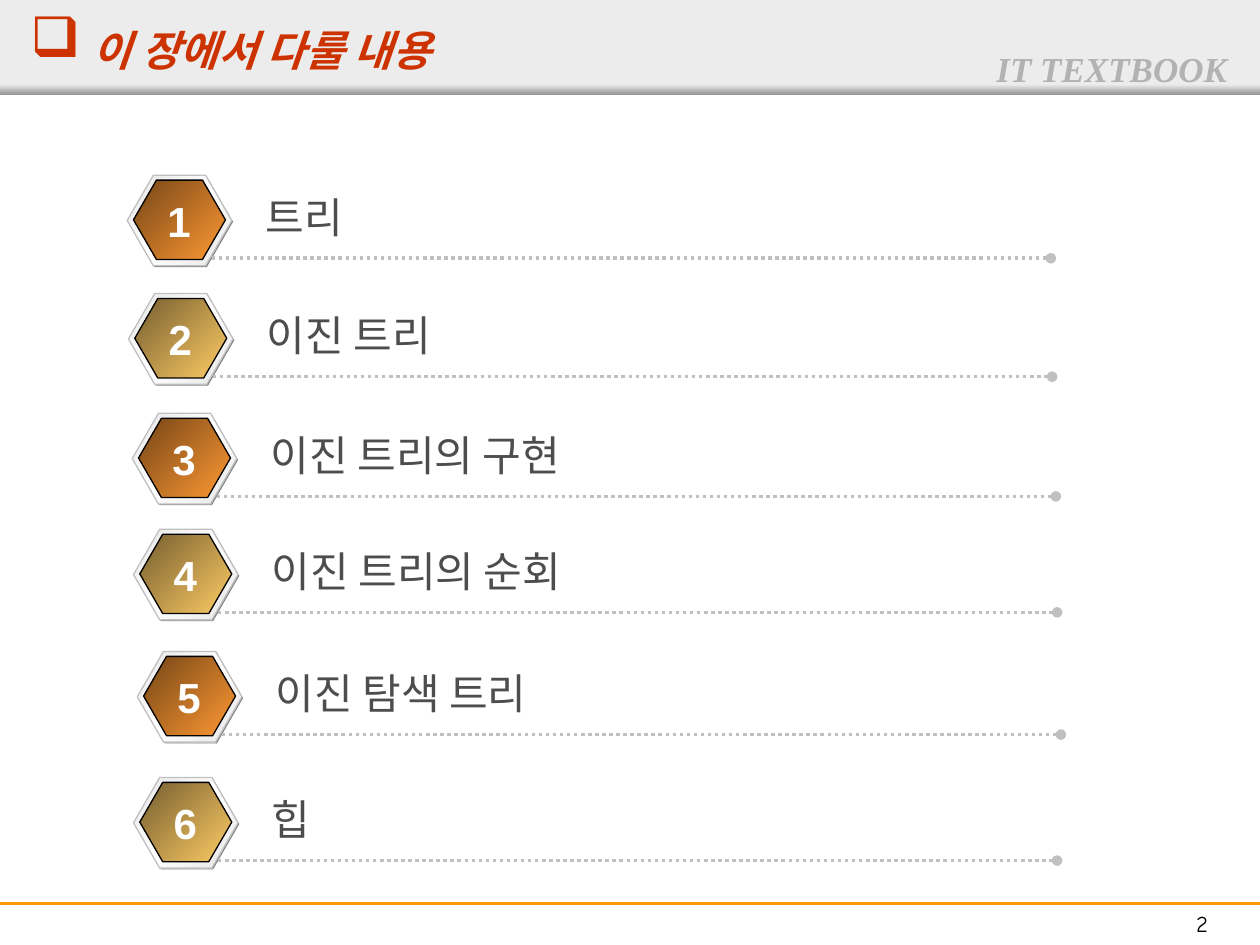
from lxml import etree
from pptx import Presentation
from pptx.dml.color import RGBColor
from pptx.enum.dml import MSO_LINE
from pptx.enum.shapes import MSO_CONNECTOR, MSO_SHAPE
from pptx.enum.text import MSO_ANCHOR, MSO_AUTO_SIZE, PP_ALIGN
from pptx.oxml.ns import qn
from pptx.util import Inches, Pt

RECTANGLE, HEXAGON = MSO_SHAPE.RECTANGLE, MSO_SHAPE.HEXAGON
STRAIGHT = MSO_CONNECTOR.STRAIGHT
DOTTED = MSO_LINE.ROUND_DOT
LEFT, CENTER = PP_ALIGN.LEFT, PP_ALIGN.CENTER
TOP = MSO_ANCHOR.TOP
GROW, FIXED = MSO_AUTO_SIZE.SHAPE_TO_FIT_TEXT, MSO_AUTO_SIZE.NONE

TOPICS = [
    # left, top, topic
    (1.01, 1.39, "트리"),
    (1.02, 2.33, "이진 트리"),
    (1.05, 3.28, "이진 트리의 구현"),
    (1.06, 4.20, "이진 트리의 순회"),
    (1.09, 5.17, "이진 탐색 트리"),
    (1.06, 6.17, "힙"),
]


def color(hex_string):
    return RGBColor.from_string(hex_string)


def add_element(parent, tag, **attributes):
    return etree.SubElement(parent, qn(tag), attributes)


class SlideBuilder:
    BODY_FONT = "Noto Sans CJK KR"
    NUMBER_FONT = "Arial"
    ACCENT = "CC3300"
    SILVER = "C0C0C0"
    RIM = ["E6E6E6", "FFFFFF", "E6E6E6"]
    BADGES = [["FF9933", "754617"], ["FFCC66", "755E2F"]]

    def __init__(self, deck):
        self.slide = deck.slides.add_slide(deck.slide_layouts[5])
        self.shapes = self.slide.shapes

    def shape(self, kind, left, top, width, height, fill, line=None, angle=225):
        """Add a shape; a list as fill makes an evenly spaced gradient."""
        shape = self.shapes.add_shape(
            kind, Inches(left), Inches(top), Inches(width), Inches(height))
        shape.shadow.inherit = False
        if isinstance(fill, list):
            self.gradient(shape.fill, fill, angle)
        else:
            shape.fill.solid()
            shape.fill.fore_color.rgb = color(fill)
        if line:
            shape.line.color.rgb = color(line)
            shape.line.width = Pt(0.75)
        else:
            shape.line.fill.background()
        if kind == HEXAGON:
            shape.adjustments[0] = 0.289
        return shape

    def gradient(self, fill, colors, angle):
        """Fill with a linear gradient; angle runs clockwise."""
        fill.gradient()
        fill.gradient_angle = 360 - angle
        stops = fill.gradient_stops[0]._gs.getparent()
        for stop in list(stops):
            stops.remove(stop)
        for index, value in enumerate(colors):
            position = 100000 * index // (len(colors) - 1)
            stop = add_element(stops, "a:gs", pos=str(position))
            add_element(stop, "a:srgbClr", val=value)

    def line(self, left, right, top, line_color, width, dotted=False):
        """Add a horizontal line; a dotted one ends in a dot."""
        line = self.shapes.add_connector(
            STRAIGHT, Inches(left), Inches(top), Inches(right), Inches(top))
        line.line.color.rgb = color(line_color)
        line.line.width = Pt(width)
        if dotted:
            line.line.dash_style = DOTTED
            add_element(line.line._get_or_add_ln(), "a:tailEnd", type="oval")
        add_element(line._element.spPr, "a:effectLst")

    def span(self, para, text, size, font, text_color, bold=False, italic=False):
        span = para.add_run()
        span.text = text
        span.font.size = Pt(size)
        span.font.name = font
        span.font.bold = bold
        span.font.italic = italic
        span.font.color.rgb = color(text_color)
        latin = span._r.get_or_add_rPr().find(qn("a:latin"))
        east_asian = etree.Element(qn("a:ea"), typeface=font)
        latin.addnext(east_asian)

    def text(self, left, top, width, height, text, size, font, text_color,
             align=LEFT, wrap=True, **style):
        box = self.shapes.add_textbox(
            Inches(left), Inches(top), Inches(width), Inches(height))
        frame = box.text_frame
        frame.word_wrap = wrap
        frame.auto_size = GROW
        para = frame.paragraphs[0]
        para.alignment = align
        self.span(para, text, size, font, text_color, **style)

    def title(self, text):
        title = self.slide.shapes.title
        title.left, title.top = Inches(0.14), Inches(0.14)
        title.width, title.height = Inches(9), Inches(0.46)
        # Bring the title in front of the header band.
        self.slide.shapes._spTree.append(title._element)
        frame = title.text_frame
        frame.margin_top = 0
        frame.vertical_anchor = TOP
        frame.auto_size = FIXED
        para = frame.paragraphs[0]
        para.alignment = LEFT
        para.line_spacing = 0.9
        properties = para._p.get_or_add_pPr()
        bullet_color = add_element(properties, "a:buClr")
        add_element(bullet_color, "a:srgbClr", val=self.ACCENT)
        add_element(properties, "a:buChar", char="❑")
        for words, size in ((" ", 32), (text, 24)):
            self.span(para, words, size, self.BODY_FONT, self.ACCENT,
                      bold=True, italic=True)

    def topic(self, number, left, top, text):
        """Add one grouped row: numbered badge, topic and dotted rule."""
        self.shapes = self.slide.shapes.add_group_shape().shapes
        self.shape(HEXAGON, left + 0.01, top + 0.01, 0.83, 0.72, "808080")
        self.shape(HEXAGON, left, top, 0.83, 0.72, self.RIM, self.SILVER)
        badge = self.BADGES[(number - 1) % len(self.BADGES)]
        self.shape(HEXAGON, left + 0.05, top + 0.04, 0.73, 0.63, badge, "000000")
        self.line(left + 0.67, left + 7.33, top + 0.66, self.SILVER, 2, dotted=True)
        self.text(left + 1, top + 0.08, 6.25, 0.5, text, 24, self.BODY_FONT, "4D4D4D")
        self.text(left + 0.22, top + 0.11, 0.38, 0.5, str(number), 24,
                  self.NUMBER_FONT, "FFFFFF", align=CENTER, wrap=False, bold=True)
        self.shapes = self.slide.shapes


def main():
    deck = Presentation()
    deck.slide_width, deck.slide_height = Inches(10), Inches(7.5)
    page = SlideBuilder(deck)
    page.shape(RECTANGLE, 0, 0, 10, 0.75, "ECECEC")
    page.shape(RECTANGLE, 0, 0.67, 10, 0.08, ["ECECEC", "979797"], angle=90)
    page.line(0, 10, 7.17, "FF9900", 1.5)
    page.text(7.81, 0.33, 2.19, 0.44, "IT TEXTBOOK", 20, "Times New Roman",
              "B2B2B2", bold=True, italic=True)
    page.text(9.08, 7.17, 0.92, 0.32, "2", 13, "Comic Neue", "000000", align=CENTER)
    page.title("이 장에서 다룰 내용")
    for number, (left, top, text) in enumerate(TOPICS, start=1):
        page.topic(number, left, top, text)
    deck.save("out.pptx")


if __name__ == "__main__":
    main()
